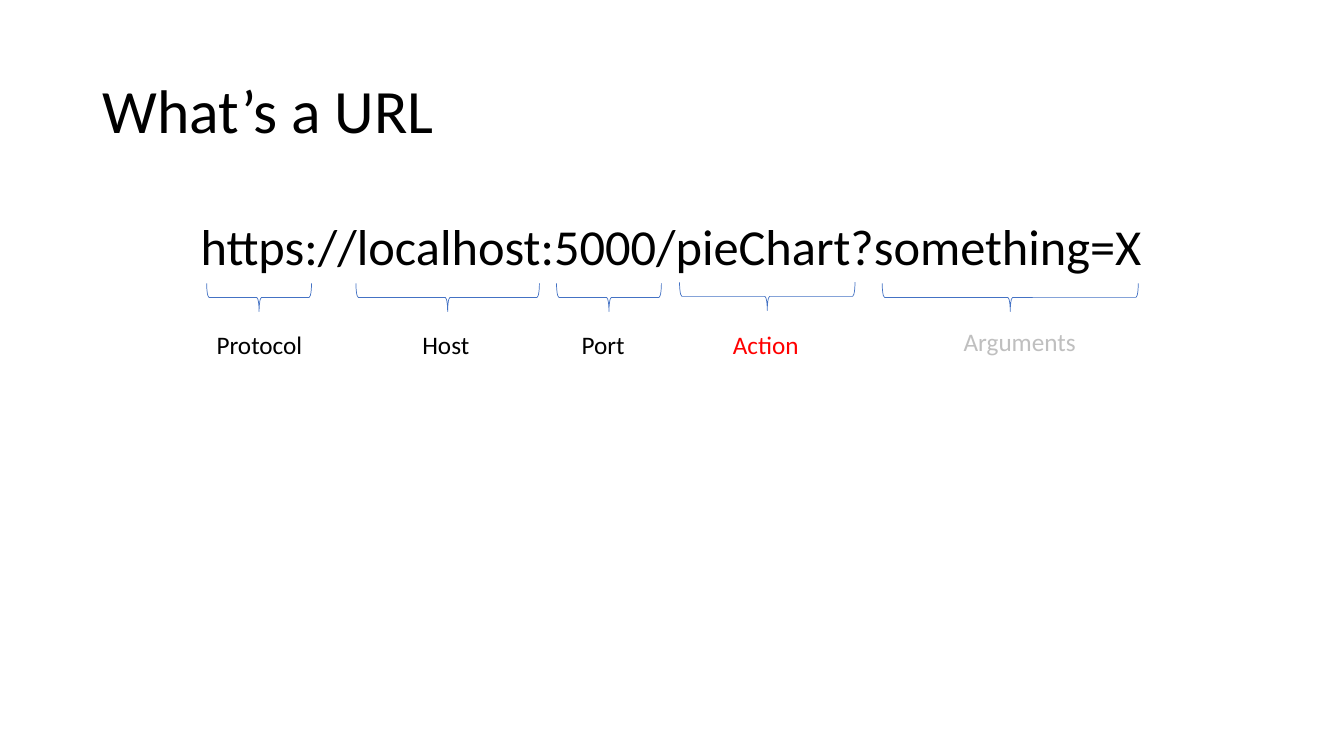
from dataclasses import dataclass

from pptx import Presentation
from pptx.dml.color import RGBColor
from pptx.enum.shapes import MSO_SHAPE
from pptx.enum.text import MSO_ANCHOR, PP_ALIGN
from pptx.util import Inches, Pt

TITLE = "What’s a URL"
URL = "https://localhost:5000/pieChart?something=X"
PARTS = [
    {"name": "Protocol", "mid": 2.57, "span": 1.04, "left": 2.05, "width": 1.12},
    {"name": "Host", "mid": 4.44, "span": 1.82, "left": 4.09, "width": 1.12},
    {"name": "Port", "mid": 6.04, "span": 1.04, "left": 5.67, "width": 0.74},
    {"name": "Action", "mid": 7.61, "span": 1.74, "left": 7.17, "width": 0.87,
     "color": "FF0000", "brace_y": 2.94},
    {"name": "Arguments", "mid": 10.02, "span": 2.54, "left": 9.46, "width": 1.53,
     "color": "BFBFBF", "top": 3.19},
]


@dataclass(frozen=True)
class Theme:
    font: str = "Calibri"
    text: str = "000000"
    brace: str = "4472C4"
    title_size: int = 44
    url_size: int = 36
    label_size: int = 18
    brace_line: float = 0.5


THEME = Theme()
BRACE_Y = 2.95
BRACE_DEPTH = 0.28
LABEL_TOP = 3.22


def write(sp, text, size, color=THEME.text, anchor=MSO_ANCHOR.TOP, spacing=1.0):
    tf = sp.text_frame
    tf.word_wrap = True
    tf.vertical_anchor = anchor
    p = tf.paragraphs[0]
    p.alignment = PP_ALIGN.LEFT
    p.line_spacing = spacing
    r = p.add_run()
    r.text = text
    r.font.name = THEME.font
    r.font.size = Pt(size)
    r.font.color.rgb = RGBColor.from_string(color)


def place(sp, left, top, width, height):
    sp.left, sp.top = Inches(left), Inches(top)
    sp.width, sp.height = Inches(width), Inches(height)


def add_text(s, left, top, width, height, text, size, **fmt):
    sp = s.shapes.add_textbox(*map(Inches, (left, top, width, height)))
    write(sp, text, size, **fmt)


def add_brace(s, mid, y, span):
    box = (mid - BRACE_DEPTH / 2, y - span / 2, BRACE_DEPTH, span)
    sp = s.shapes.add_shape(MSO_SHAPE.LEFT_BRACE, *map(Inches, box))
    sp.rotation = 270
    sp.shadow.inherit = False
    sp.fill.background()
    sp.line.color.rgb = RGBColor.from_string(THEME.brace)
    sp.line.width = Pt(THEME.brace_line)


def main():
    prs = Presentation()
    prs.slide_width, prs.slide_height = Inches(13.33), Inches(7.5)
    s = prs.slides.add_slide(prs.slide_layouts[5])

    place(s.shapes.title, 0.92, 0.4, 11.5, 1.45)
    write(s.shapes.title, TITLE, THEME.title_size, anchor=MSO_ANCHOR.MIDDLE, spacing=0.9)
    add_text(s, 1.89, 2.08, 9.55, 0.71, URL, THEME.url_size)

    for part in PARTS:
        add_brace(s, part["mid"], part.get("brace_y", BRACE_Y), part["span"])
        add_text(s, part["left"], part.get("top", LABEL_TOP), part["width"], 0.4,
                 part["name"], THEME.label_size, color=part.get("color", THEME.text))

    prs.save("out.pptx")


if __name__ == "__main__":
    main()
